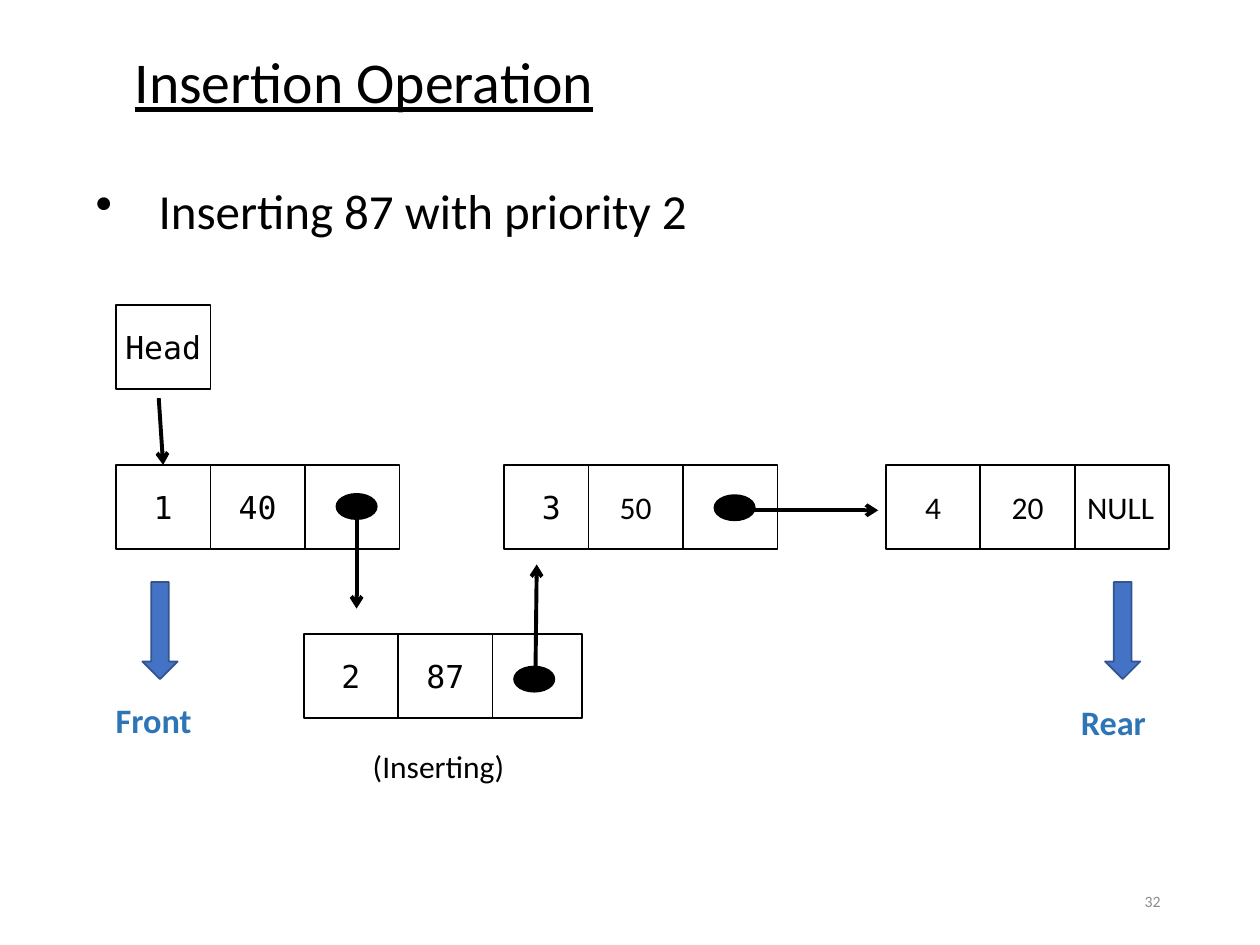
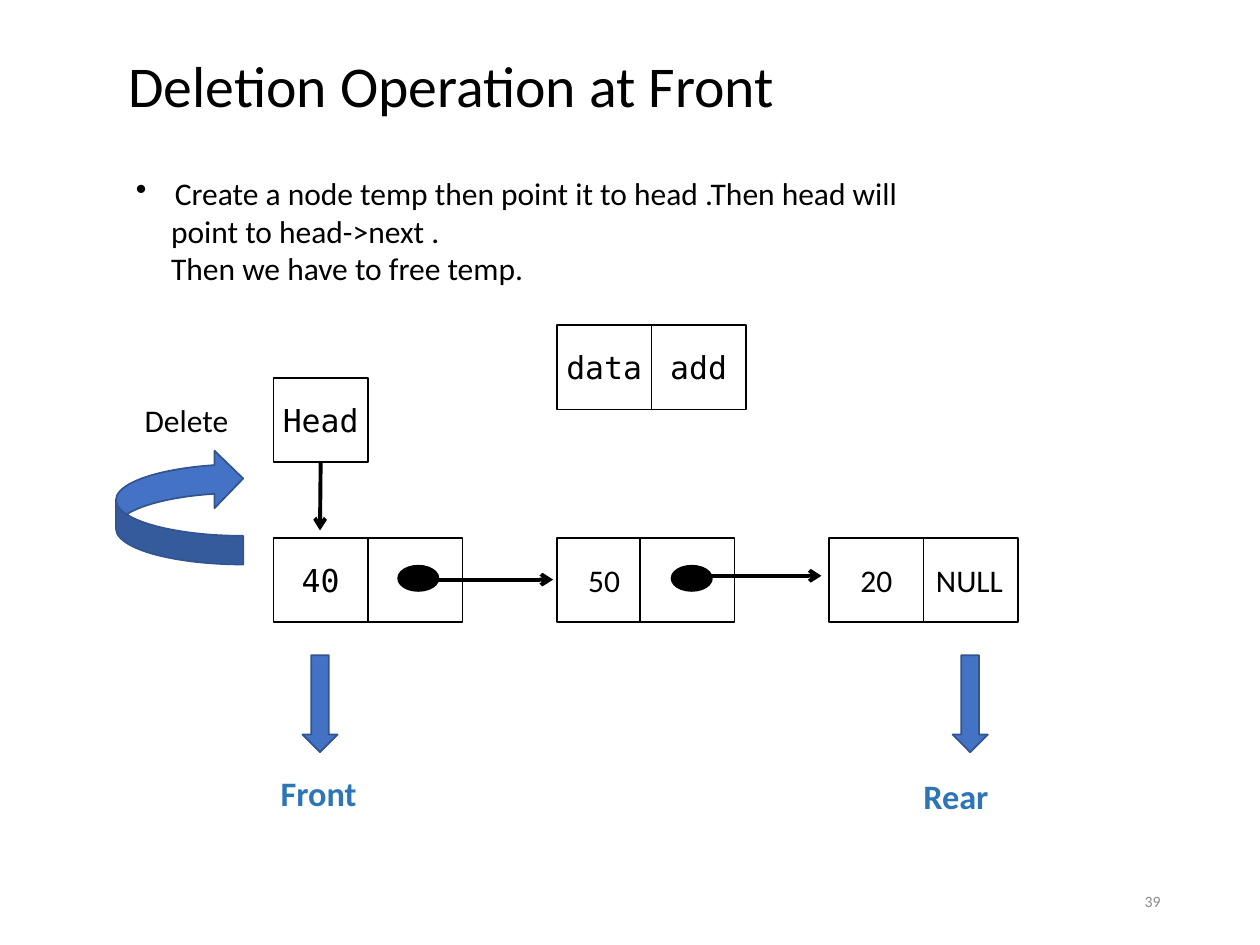
from dataclasses import dataclass
from typing import Optional

from lxml.etree import SubElement
from pptx import Presentation
from pptx.dml.color import RGBColor as Rgb
from pptx.enum.shapes import MSO_CONNECTOR as Link, MSO_SHAPE as Kind
from pptx.enum.text import MSO_ANCHOR as Anchor, PP_ALIGN as Align
from pptx.oxml.ns import qn
from pptx.util import Inches, Pt

COLORS = {
    "ink": "000000",
    "paper": "FFFFFF",
    "label": "2E75B6",
    "arrow": "4472C4",
    "edge": "325491",
    "number": "8C8C8C",
}
SANS, MONO = "Calibri", "DejaVu Sans Mono"
CODED = {"Head", "data", "add", "1", "2", "3", "40", "87"}
CELL_W, CELL_H = 0.75, 0.67
DOT_W, DOT_H = 0.32, 0.2
TOP, BOTTOM = 0, 2


@dataclass
class Node:
    """A row of cells; first is the step from the first cell to the second."""
    left: float
    top: float
    labels: tuple[str, ...]
    first: float = CELL_W


@dataclass
class Dot:
    left: float
    top: float


@dataclass
class Arrow:
    """A pointer; source and target name cells joined at bottom and top."""
    start: tuple[float, float]
    end: tuple[float, float]
    source: Optional[str] = None
    target: Optional[str] = None


@dataclass
class Mark:
    """A block arrow with its label below."""
    text: str
    left: float
    top: float
    arrow: tuple[float, float]


def color(name: str) -> Rgb:
    return Rgb.from_string(COLORS[name])


def write(frame, text: str, *, size: float = 18, font: str = SANS,
          ink: str = "ink", bold: bool = False, under: bool = False,
          align=Align.LEFT, anchor=Anchor.TOP, wrap: bool = True,
          space: Optional[float] = None, hang: float = 0,
          rest: float = 0) -> None:
    """Fill a frame; hang bullets the first line, rest indents later ones."""
    frame.word_wrap = wrap
    frame.vertical_anchor = anchor
    for i, line in enumerate(text.split("\n")):
        para = frame.paragraphs[0] if i == 0 else frame.add_paragraph()
        props = para._p.get_or_add_pPr()
        if i == 0 and hang:
            props.set("marL", str(Inches(hang)))
            props.set("indent", str(-Inches(hang)))
            SubElement(props, qn("a:buChar")).set("char", "•")
        elif rest:
            props.set("marL", str(Inches(rest)))
        para.alignment = align
        if space:
            para.line_spacing = space
        run = para.add_run()
        run.text = line
        run.font.name, run.font.size = font, Pt(size)
        run.font.bold, run.font.underline = bold, under
        run.font.color.rgb = color(ink)


def add_text(slide, text: str, left: float, top: float, width: float,
             height: float, **style) -> None:
    box = slide.shapes.add_textbox(
        Inches(left), Inches(top), Inches(width), Inches(height))
    write(box.text_frame, text, **style)


def add_form(slide, kind, left: float, top: float, width: float,
             height: float, fill: str, line: str):
    form = slide.shapes.add_shape(
        kind, Inches(left), Inches(top), Inches(width), Inches(height))
    form.shadow.inherit = False
    form.fill.solid()
    form.fill.fore_color.rgb = color(fill)
    form.line.color.rgb = color(line)
    form.line.width = Pt(1)
    return form


def add_node(slide, node: Node) -> dict:
    cells = {}
    for i, label in enumerate(node.labels):
        left = node.left + (node.first + (i - 1) * CELL_W if i else 0)
        cell = add_form(slide, Kind.RECTANGLE, left, node.top,
                        CELL_W, CELL_H, "paper", "ink")
        if label:
            write(cell.text_frame, label, wrap=False, anchor=Anchor.MIDDLE,
                  font=MONO if label in CODED else SANS,
                  align=Align.LEFT if label == "NULL" else Align.CENTER)
            cells[label] = cell
    return cells


def add_arrow(slide, arrow: Arrow, cells: dict) -> None:
    ends = [Inches(n) for n in (*arrow.start, *arrow.end)]
    link = slide.shapes.add_connector(Link.STRAIGHT, *ends)
    if arrow.source:
        link.begin_connect(cells[arrow.source], BOTTOM)
    if arrow.target:
        link.end_connect(cells[arrow.target], TOP)
    link.line.color.rgb = color("ink")
    link.line.width = Pt(2.25)
    props = link.element.spPr
    SubElement(props.find(qn("a:ln")), qn("a:tailEnd")).set("type", "arrow")
    SubElement(props, qn("a:effectLst"))


def add_mark(slide, mark: Mark) -> None:
    add_form(slide, Kind.DOWN_ARROW, *mark.arrow, 0.28, 0.77, "arrow", "edge")
    add_text(slide, mark.text, mark.left, mark.top, 0.93, 0.4,
             size=19.6, ink="label", bold=True)


def add_page(deck, title: str, left: float, top: float, number: int,
             under: bool = False):
    slide = deck.slides.add_slide(deck.slide_layouts[6])
    add_text(slide, title, left, top, 8.83, 1.25, size=33, under=under,
             anchor=Anchor.MIDDLE, space=0.9)
    add_text(slide, str(number), 7.06, 6.95, 2.25, 0.4, size=9, ink="number",
             align=Align.RIGHT, anchor=Anchor.MIDDLE)
    return slide


def draw_list(slide, nodes: list[Node], dots: list[Dot],
              arrows: list[Arrow], marks: list[Mark]) -> None:
    cells = {}
    for node in nodes:
        cells.update(add_node(slide, node))
    for dot in dots:
        add_form(slide, Kind.OVAL, dot.left, dot.top, DOT_W, DOT_H,
                 "ink", "ink")
    for arrow in arrows:
        add_arrow(slide, arrow, cells)
    for mark in marks:
        add_mark(slide, mark)


def add_insert(deck) -> None:
    slide = add_page(deck, "Insertion Operation", 0.97, 0.05, 32, under=True)
    add_text(slide, "Inserting 87 with priority 2", 0.66, 1.38, 5.01, 0.57,
             size=28, hang=0.5)
    row, new = 3.69, 5.03
    draw_list(
        slide,
        [Node(0.92, 2.42, ("Head",)),
         Node(0.92, row, ("1", "40", "")),
         Node(4, row, ("3", "50", ""), first=0.67),
         Node(7.03, row, ("4", "20", "NULL")),
         Node(3.87, new, ("",)),
         Node(2.41, new, ("2", "87"))],
        [Dot(2.67, 3.92), Dot(5.67, 3.93), Dot(4.08, 5.29)],
        [Arrow((1.26, 3.16), (1.27, 3.7), target="1"),
         Arrow((2.83, 4.12), (2.83, 4.83)),
         Arrow((4.25, 5.32), (4.26, 4.48)),
         Arrow((5.98, 4.05), (6.97, 4.05))],
        [Mark("Front", 0.82, 5.5, (1.13, 4.62)),
         Mark("Rear", 8.48, 5.52, (8.77, 4.62))])
    add_text(slide, "(Inserting)", 2.86, 5.88, 1.38, 0.4)


def add_delete(deck) -> None:
    slide = add_page(deck, "Deletion Operation at Front", 0.92, 0.08, 39)
    add_text(slide, "Create a node temp then point it to head .Then head will\n"
             "point to head->next .\nThen we have to free temp.",
             0.98, 1.33, 8.16, 1.31, hang=0.31, rest=0.28)
    row = 4.27
    draw_list(
        slide,
        [Node(2.17, 3, ("Head",)),
         Node(4.42, 2.58, ("data", "add")),
         Node(2.17, row, ("40", "")),
         Node(4.42, row, ("50", ""), first=0.66),
         Node(6.58, row, ("20", "NULL"))],
        [Dot(3.16, 4.49), Dot(5.33, 4.49)],
        [Arrow((2.53, 3.67), (2.54, 4.21), source="Head"),
         Arrow((3.41, 4.6), (4.39, 4.6)),
         Arrow((5.54, 4.57), (6.52, 4.57))],
        [Mark("Front", 2.13, 6.08, (2.4, 5.2)),
         Mark("Rear", 7.23, 6.1, (7.56, 5.2))])
    turn = add_form(slide, Kind.CURVED_LEFT_ARROW, 0.92, 3.57, 1.01, 0.91,
                    "arrow", "edge")
    turn.rotation = 180
    add_text(slide, "Delete", 1.05, 3.13, 0.87, 0.4, wrap=False)


def main() -> None:
    deck = Presentation()
    deck.slide_width, deck.slide_height = Inches(10), Inches(7.5)
    add_insert(deck)
    add_delete(deck)
    deck.save("out.pptx")


if __name__ == "__main__":
    main()
